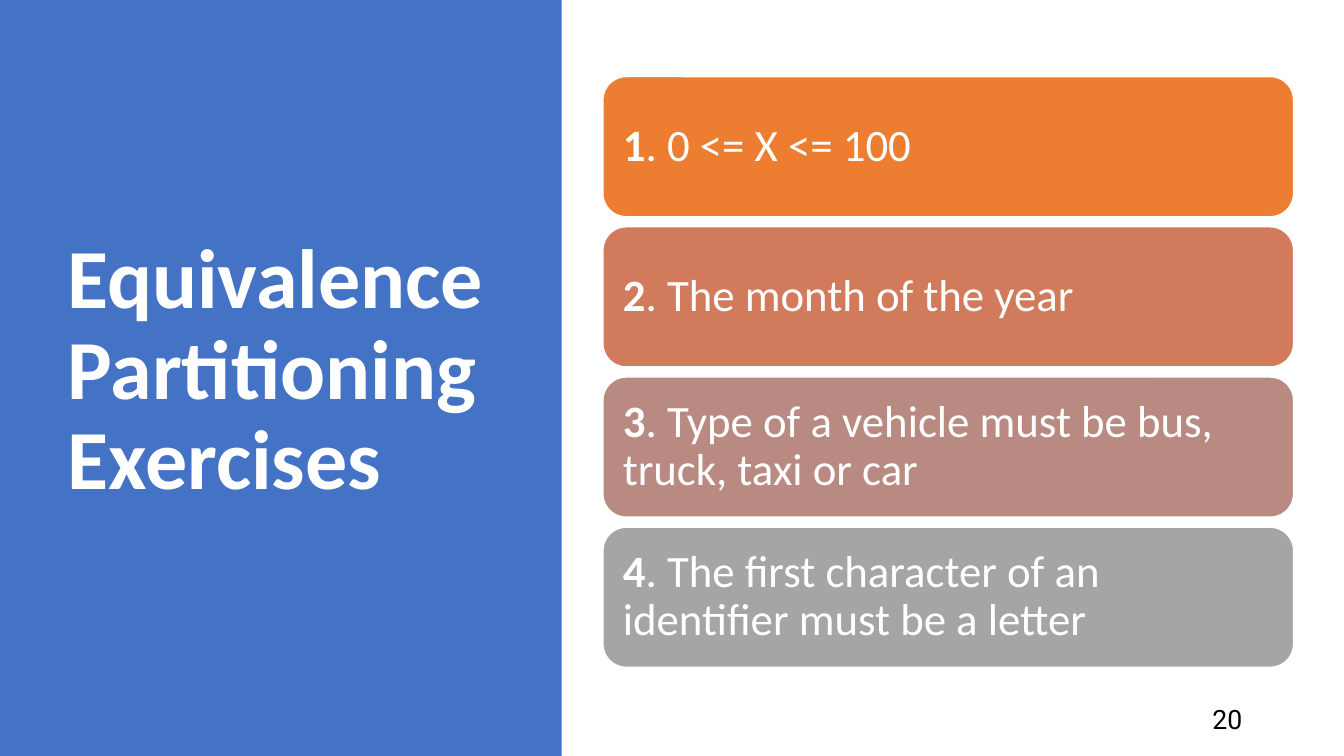
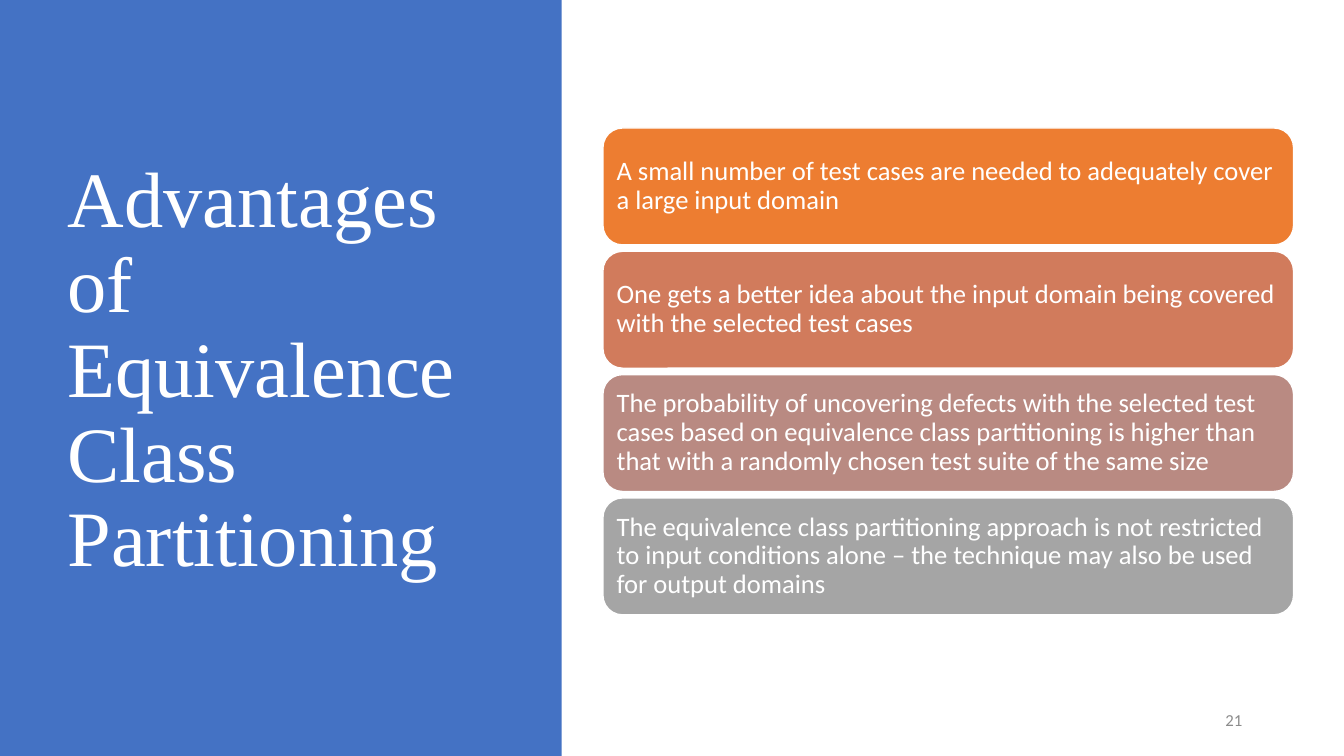
from pptx import Presentation
from pptx.dml.color import RGBColor
from pptx.enum.shapes import MSO_SHAPE
from pptx.enum.text import MSO_ANCHOR, MSO_AUTO_SIZE, PP_ALIGN
from pptx.util import Inches, Pt

RECT, ROUND = MSO_SHAPE.RECTANGLE, MSO_SHAPE.ROUNDED_RECTANGLE
MIDDLE, FIXED = MSO_ANCHOR.MIDDLE, MSO_AUTO_SIZE.NONE
LEFT, RIGHT = PP_ALIGN.LEFT, PP_ALIGN.RIGHT

WHITE = RGBColor(0xFF, 0xFF, 0xFF)
BLACK = RGBColor(0x00, 0x00, 0x00)
GRAY = RGBColor(0x8C, 0x8C, 0x8C)
BLUE = RGBColor(0x44, 0x72, 0xC4)
FILLS = (
    RGBColor(0xED, 0x7D, 0x31),
    RGBColor(0xD1, 0x7B, 0x5C),
    RGBColor(0xB9, 0x8A, 0x82),
    RGBColor(0xA5, 0xA5, 0xA5),
)
SANS, SERIF, ROBOTO = "Calibri", "Times New Roman", "Roboto"
TITLE_ONLY = 5

TASKS = (
    "0 <= X <= 100",
    "The month of the year",
    "Type of a vehicle must be bus, truck, taxi or car",
    "The first character of an identifier must be a letter",
)
GAINS = (
    "A small number of test cases are needed to adequately cover a large input domain",
    "One gets a better idea about the input domain being covered with the selected test cases",
    "The probability of uncovering defects with the selected test cases based on equivalence "
    "class partitioning is higher than that with a randomly chosen test suite of the same size",
    "The equivalence class partitioning approach is not restricted to input conditions alone "
    "– the technique may also be used for output domains",
)


def write(frame, text, size, lead="", font=SANS, color=WHITE, bold=False, align=LEFT, inset=None):
    """Fill a frame with one paragraph; lead is a bold start before the text."""
    frame.word_wrap = True
    frame.auto_size = FIXED
    frame.vertical_anchor = MIDDLE
    if inset is not None:
        frame.margin_left = frame.margin_right = Inches(inset)
        frame.margin_top = frame.margin_bottom = Inches(inset)
    para = frame.paragraphs[0]
    para.alignment = align
    para.line_spacing = 0.9
    for part, heavy in ((lead, True), (text, bold)):
        if part:
            run = para.add_run()
            run.text = part
            run.font.name = font
            run.font.size = Pt(size)
            run.font.bold = heavy
            run.font.color.rgb = color


class Deck:
    def __init__(self):
        self.prs = Presentation()
        self.prs.slide_width = Inches(13.33)
        self.prs.slide_height = Inches(7.5)
        self.slide = None

    def start(self, title, width, size, **style):
        """Add a slide with its blue side band and title."""
        layout = self.prs.slide_layouts[TITLE_ONLY]
        self.slide = self.prs.slides.add_slide(layout)
        head = self.slide.shapes.title
        head.left, head.top = Inches(0.57), Inches(0.68)
        head.width, head.height = Inches(width), Inches(6.02)
        write(head.text_frame, title, size, **style)
        band = self.shape(RECT, 0, 0, 5.57, 7.5, BLUE)
        band.line.fill.background()
        head.element.addprevious(band.element)

    def shape(self, kind, left, top, width, height, fill):
        box = self.slide.shapes.add_shape(
            kind, Inches(left), Inches(top), Inches(width), Inches(height))
        box.shadow.inherit = False
        box.fill.solid()
        box.fill.fore_color.rgb = fill
        return box

    def cards(self, items, first, last, height, size, inset):
        """Stack (lead, text) cards evenly, from top edge first to top edge last."""
        step = (last - first) / (len(items) - 1)
        for row, ((lead, text), fill) in enumerate(zip(items, FILLS)):
            card = self.shape(ROUND, 5.98, first + row * step, 6.85, height, fill)
            card.line.color.rgb = WHITE
            card.line.width = Pt(1)
            write(card.text_frame, text, size, lead=lead, inset=inset)

    def number(self, text, size, **style):
        box = self.slide.shapes.add_textbox(
            Inches(9.42), Inches(6.95), Inches(3), Inches(0.4))
        write(box.text_frame, text, size, align=RIGHT, **style)


def main():
    deck = Deck()

    deck.start("Equivalence Partitioning Exercises", 4.37, 60, bold=True)
    tasks = [(str(n), ". " + task) for n, task in enumerate(TASKS, 1)]
    deck.cards(tasks, 0.76, 5.23, 1.39, 32, 0.13)
    deck.number("20", 19, font=ROBOTO, color=BLACK)

    deck.start("Advantages of Equivalence Class Partitioning", 4.16, 56, font=SERIF)
    deck.cards([("", gain) for gain in GAINS], 1.27, 4.94, 1.16, 19, 0.08)
    deck.number("21", 12, color=GRAY)

    deck.prs.save("out.pptx")


if __name__ == "__main__":
    main()
